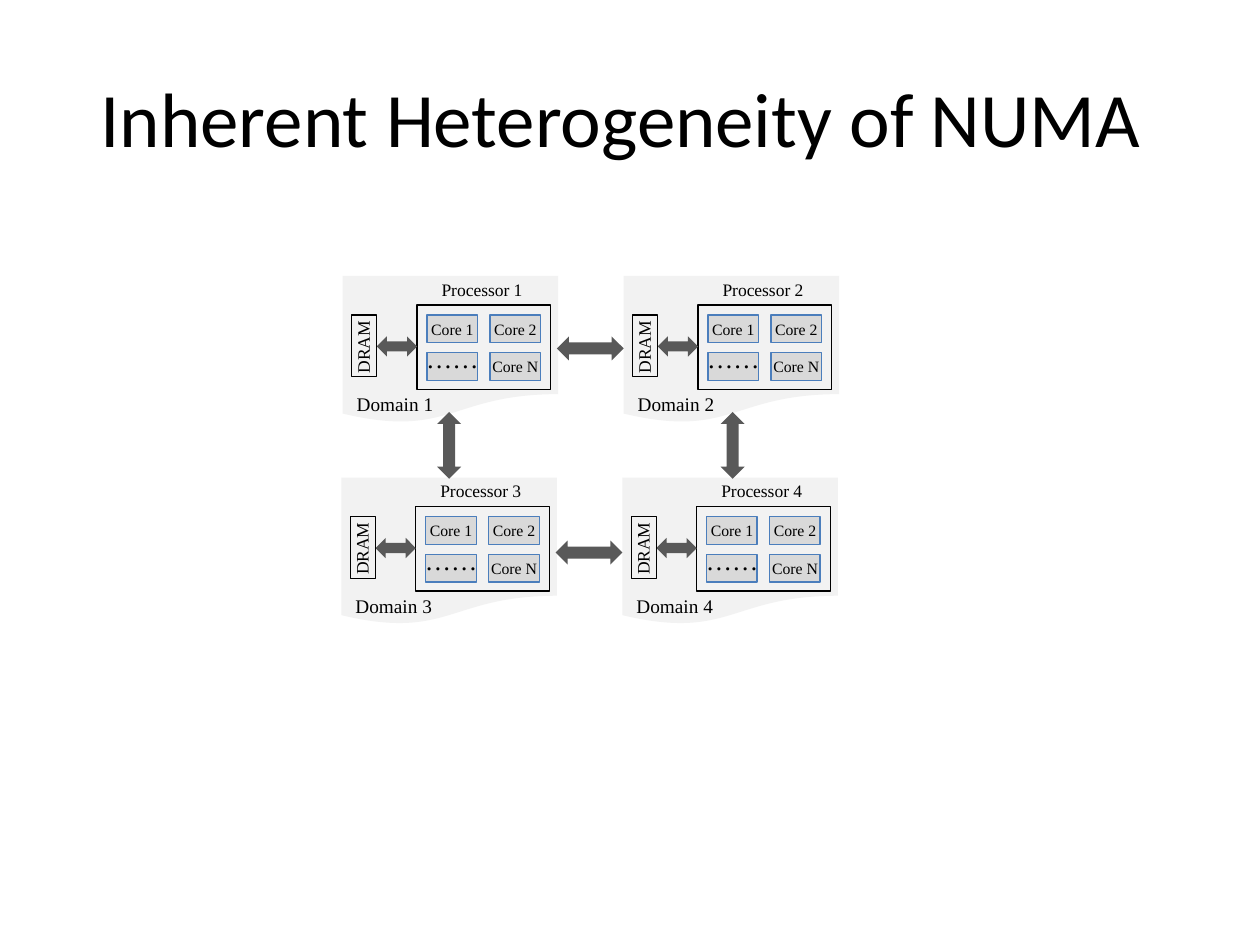
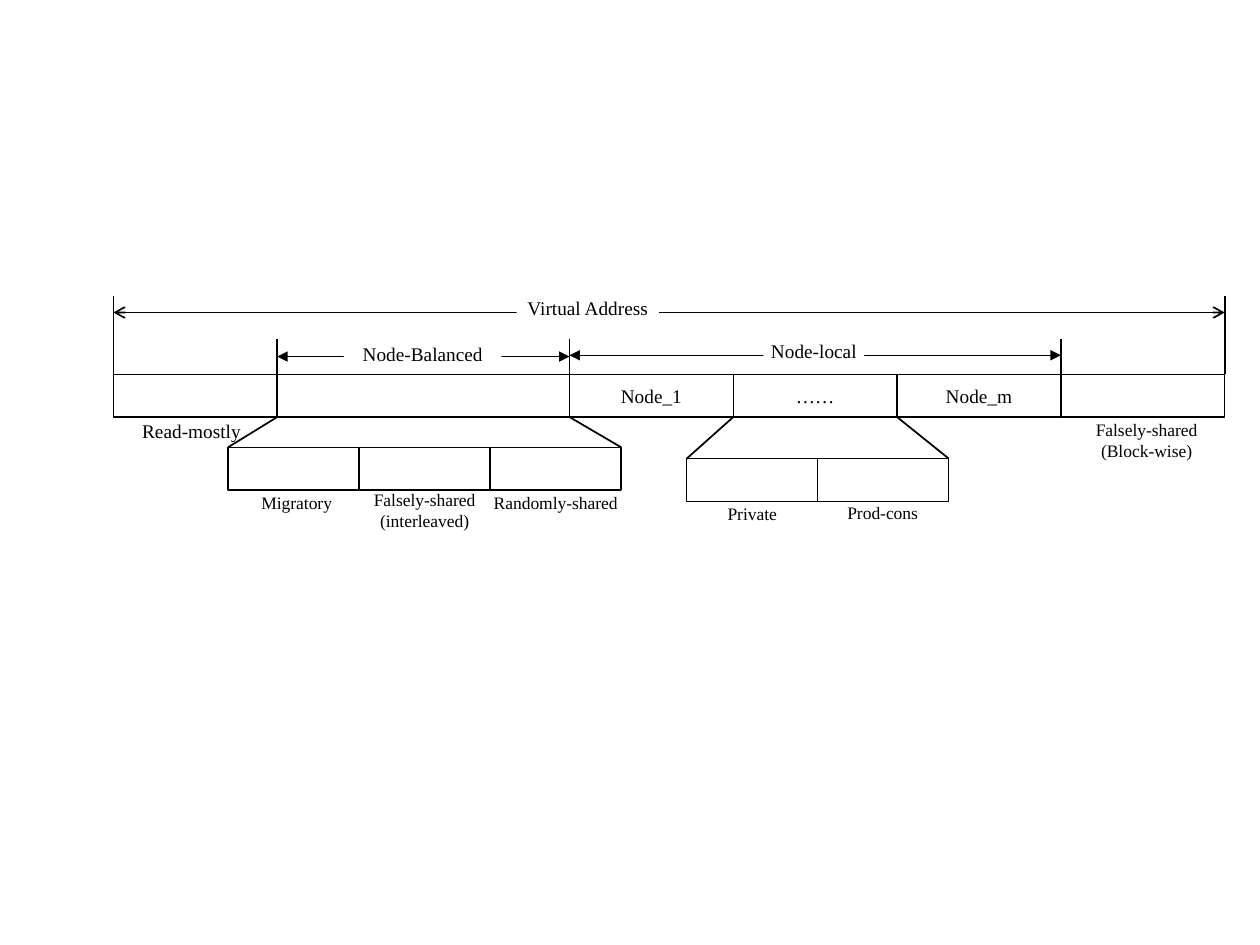
import pptx
import pptx.util
import pptx.dml.color
import pptx.enum.shapes
import pptx.enum.text
import pptx.oxml.ns
from dataclasses import dataclass
from lxml import etree

Inches, Pt = pptx.util.Inches, pptx.util.Pt
RGB = pptx.dml.color.RGBColor.from_string
SHAPE = pptx.enum.shapes.MSO_SHAPE
qn = pptx.oxml.ns.qn


@dataclass
class Theme:
    ink: str = "000000"
    paper: str = "FFFFFF"
    domain: str = "F2F2F2"
    core: str = "D9D9D9"
    core_line: str = "4B7EBC"
    arrow: str = "595959"
    title_font: str = "Calibri"
    font: str = "Times New Roman"
    title: int = 44
    dots: int = 15
    large: int = 11
    small: int = 10
    tiny: int = 9
    thin: float = 0.75
    rule: float = 1


T = Theme()


def add_box(s, kind, x, y, w, h, text="", size=T.small, fill=None, line=None,
            font=T.font, rotation=0):
    """Add a preset shape, or a text box when kind is None."""
    area = Inches(x), Inches(y), Inches(w), Inches(h)
    if kind is None:
        sp = s.shapes.add_textbox(*area)
    else:
        sp = s.shapes.add_shape(kind, *area)
        sp.shadow.inherit = False
        if fill:
            sp.fill.solid()
            sp.fill.fore_color.rgb = RGB(fill)
        else:
            sp.fill.background()
        if line:
            sp.line.color.rgb = RGB(line)
            sp.line.width = Pt(T.thin)
        else:
            sp.line.fill.background()
    sp.rotation = rotation
    if text:
        tf = sp.text_frame
        tf.text = text
        tf.word_wrap = False
        tf.vertical_anchor = pptx.enum.text.MSO_ANCHOR.MIDDLE
        tf.margin_left = tf.margin_right = tf.margin_top = tf.margin_bottom = 0
        for p in tf.paragraphs:
            p.alignment = pptx.enum.text.PP_ALIGN.CENTER
            for r in p.runs:
                r.font.size = Pt(size)
                r.font.name = font
                r.font.color.rgb = RGB(T.ink)


def add_line(s, x1, y1, x2, y2, width=T.rule, heads=None):
    """Add a straight line, with the same arrowhead at both ends if given."""
    cx = s.shapes.add_connector(pptx.enum.shapes.MSO_CONNECTOR.STRAIGHT,
                                Inches(x1), Inches(y1), Inches(x2), Inches(y2))
    cx.line.color.rgb = RGB(T.ink)
    cx.line.width = Pt(width)
    if heads:
        ln = cx.line._get_or_add_ln()
        for end in ("a:headEnd", "a:tailEnd"):
            etree.SubElement(ln, qn(end)).set("type", heads)
    etree.SubElement(cx._element.spPr, qn("a:effectLst"))


prs = pptx.Presentation()
prs.slide_width, prs.slide_height = Inches(10), Inches(7.5)
blank = prs.slide_layouts[6]

# Slide 1: four NUMA domains
s = prs.slides.add_slide(blank)
add_box(s, None, 0.5, 0.3, 9, 1.25, "Inherent Heterogeneity of NUMA ",
        T.title, font=T.title_font)

domains = [(2.72, 2.19), (4.95, 2.19), (2.71, 3.79), (4.94, 3.79)]
for n, (x, y) in enumerate(domains, 1):
    add_box(s, SHAPE.FLOWCHART_DOCUMENT, x, y, 1.71, 1.17, fill=T.domain)
    add_box(s, SHAPE.RECTANGLE, x + 0.59, y + 0.23, 1.06, 0.67, line=T.ink)
    add_box(s, None, x + 0.61, y - 0.03, 0.99, 0.27, f"Processor {n}")
    # Cores in a 2 x 2 grid, the third one elided
    for i, core in enumerate(["Core 1", "Core 2", "", "Core N"]):
        row, col = divmod(i, 2)
        add_box(s, SHAPE.RECTANGLE, x + 0.67 + 0.5 * col, y + 0.31 + 0.3 * row,
                0.4, 0.22, core, T.tiny, T.core, T.core_line)
    add_box(s, None, x + 0.66, y + 0.53, 0.42, 0.25, "……", T.dots)
    # Memory and its link to the processor
    add_box(s, SHAPE.LEFT_RIGHT_ARROW, x + 0.27, y + 0.48, 0.32, 0.16, fill=T.arrow)
    add_box(s, SHAPE.RECTANGLE, x + 0.07, y + 0.31, 0.2, 0.49, line=T.ink)
    add_box(s, None, x - 0.05, y + 0.48, 0.42, 0.17, "DRAM", rotation=270)
    add_box(s, None, x + 0.11, y + 0.92, 0.61, 0.19, f"Domain {n}", T.large)

# Links between domains
for x, y, rotation in [(4.42, 2.67, 0), (4.41, 4.29, 0), (3.3, 3.44, 90), (5.55, 3.44, 90)]:
    add_box(s, SHAPE.LEFT_RIGHT_ARROW, x, y, 0.53, 0.19, fill=T.arrow, rotation=rotation)

# Slide 2: layout of the virtual address space
s = prs.slides.add_slide(blank)
bar_top, bar_height = 2.97, 0.34
bar_bottom = bar_top + bar_height
edges = [0.9, 2.2, 4.52, 5.82, 7.12, 8.42, 9.72]

# Address bar
for left, right, text in zip(edges, edges[1:], ["", "", "Node_1", "……", "Node_m", ""]):
    add_box(s, SHAPE.RECTANGLE, left, bar_top, right - left, bar_height,
            text, T.large, line=T.ink)

# Dimension lines with their end marks and labels
dimensions = [
    # left, right, y, mark top, width, heads, label, label box
    (0.9, 9.72, 2.48, 2.35, T.rule, "arrow", "Virtual Address", (4.1, 2.35, 1.13)),
    (2.2, 4.52, 2.83, 2.69, T.thin, "triangle", "Node-Balanced", (2.73, 2.71, 1.25)),
    (4.52, 8.42, 2.82, 2.69, T.thin, "triangle", "Node-local", (6.06, 2.69, 0.8)),
]
for left, right, y, mark_top, width, heads, text, label in dimensions:
    add_line(s, left, y, right, y, width, heads)
    for x in (left, right):
        add_line(s, x, mark_top, x, bar_top)
    add_box(s, SHAPE.RECTANGLE, *label, 0.19, text, T.large, T.paper)

# Captions under the bar
add_box(s, SHAPE.RECTANGLE, 1.06, 3.32, 0.92, 0.19, "Read-mostly", T.large, T.paper)
add_box(s, None, 8.6, 3.32, 1, 0.34, "Falsely-shared\n(Block-wise)")

# Expanded segments: bar span, left, top, number of cells
cell = 1.04
for start, end, left, top, count in [(2.2, 4.52, 1.81, 3.55, 3), (5.82, 7.12, 5.45, 3.64, 2)]:
    add_line(s, start, bar_bottom, left, top)
    add_line(s, end, bar_bottom, left + count * cell, top)
    for i in range(count):
        add_box(s, SHAPE.RECTANGLE, left + i * cell, top, cell, bar_height, line=T.ink)

# Captions under the expanded cells
for x, y, w, h, text in [
    (2.03, 3.85, 0.65, 0.27, "Migratory"),
    (2.87, 3.83, 1, 0.44, "Falsely-shared\n(interleaved)"),
    (3.8, 3.85, 1.22, 0.27, "Randomly-shared"),
    (5.77, 3.94, 0.4, 0.27, "Private"),
    (6.72, 3.93, 0.57, 0.27, "Prod-cons"),
]:
    add_box(s, None, x, y, w, h, text)

prs.save("out.pptx")
